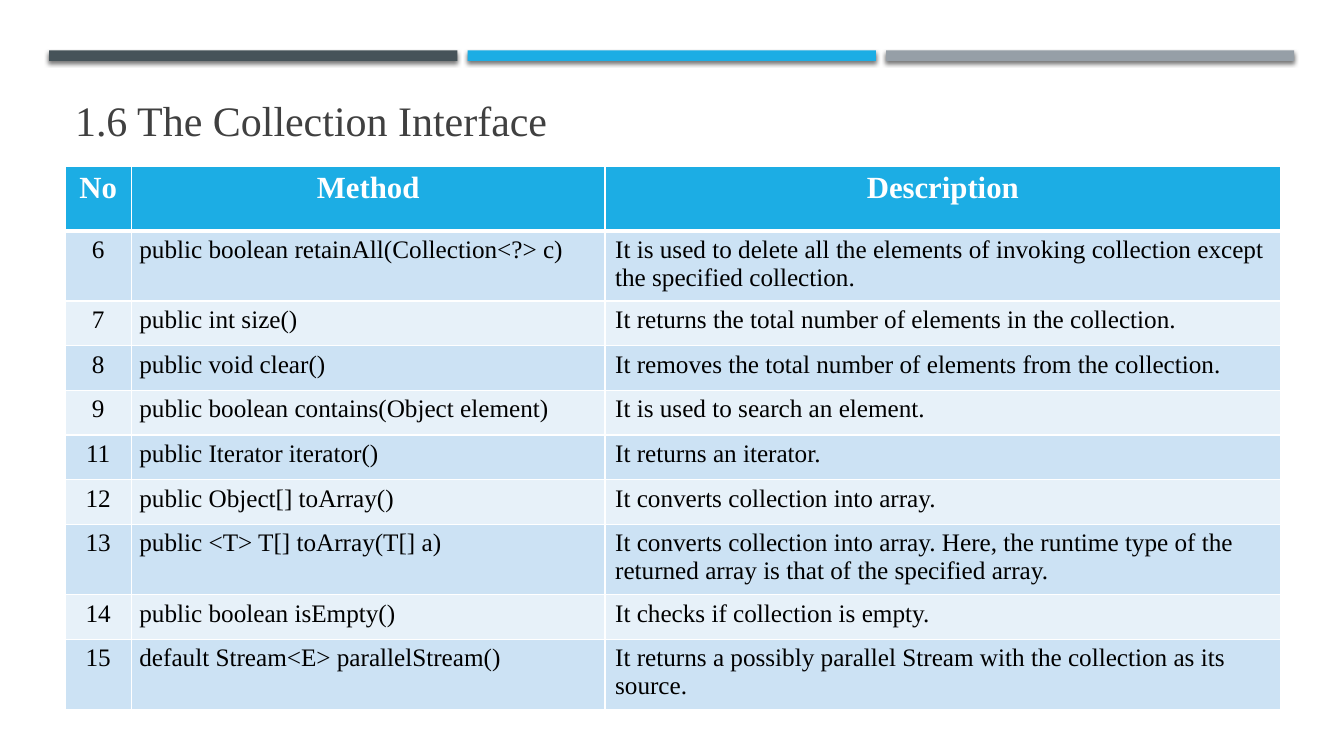
from lxml import etree
from pptx import Presentation
from pptx.dml.color import RGBColor
from pptx.enum.shapes import MSO_SHAPE
from pptx.enum.text import MSO_ANCHOR, MSO_AUTO_SIZE, PP_ALIGN
from pptx.oxml import parse_xml
from pptx.oxml.ns import qn
from pptx.util import Pt

RECTANGLE = MSO_SHAPE.RECTANGLE
BOTTOM = MSO_ANCHOR.BOTTOM
NO_AUTOFIT = MSO_AUTO_SIZE.NONE
LEFT, CENTER, JUSTIFY = PP_ALIGN.LEFT, PP_ALIGN.CENTER, PP_ALIGN.JUSTIFY

FONT = "Times New Roman"
DRAWING = "http://schemas.openxmlformats.org/drawingml/2006/main"
WHITE, BLACK, TITLE_GRAY = "FFFFFF", "000000", "404040"
ACCENT = "1CADE4"
BAR_COLORS = ["465359", ACCENT, "969FA7"]
BAND_COLORS = ["CCE2F4", "E7F1F9"]

CONTENT_LEFT, CONTENT_WIDTH = 46.4, 868.3
COLUMN_WIDTHS = [47.4, 338.4, 482.5]
COLUMN_ALIGNMENTS = [CENTER, JUSTIFY, LEFT]
COLUMN_MARGINS = [7.2, 5.8, 7.2]
HEADER_HEIGHT, SHORT_ROW, TALL_ROW = 46, 31.9, 50.2
THIN_BORDER, HEADER_BORDER = 0.96, 3

HEADER = ["No", "Method", "Description"]
METHODS = [
    (TALL_ROW, "6", "public boolean retainAll(Collection<?> c)",
     "It is used to delete all the elements of invoking collection except the specified collection."),
    (SHORT_ROW, "7", "public int size()",
     "It returns the total number of elements in the collection."),
    (SHORT_ROW, "8", "public void clear()",
     "It removes the total number of elements from the collection."),
    (SHORT_ROW, "9", "public boolean contains(Object element)",
     "It is used to search an element."),
    (SHORT_ROW, "11", "public Iterator iterator()", "It returns an iterator."),
    (SHORT_ROW, "12", "public Object[] toArray()", "It converts collection into array."),
    (TALL_ROW, "13", "public <T> T[] toArray(T[] a)",
     "It converts collection into array. Here, the runtime type of the returned array "
     "is that of the specified array."),
    (SHORT_ROW, "14", "public boolean isEmpty()", "It checks if collection is empty."),
    (TALL_ROW, "15", "default Stream<E> parallelStream()",
     "It returns a possibly parallel Stream with the collection as its source."),
]


def rgb(color):
    """Turn a hex string into a colour."""
    return RGBColor.from_string(color)


def format_text(text_frame, size, color, alignment, bold=False):
    """Set the alignment and font of a one-paragraph text."""
    paragraph = text_frame.paragraphs[0]
    paragraph.alignment = alignment
    for run in paragraph.runs:
        run.font.name = FONT
        run.font.size = Pt(size)
        run.font.bold = bold
        run.font.color.rgb = rgb(color)


def add_shadow(shape):
    """Give a shape a soft shadow below it."""
    shape.shadow.inherit = False
    effects = shape._element.spPr.find(qn("a:effectLst"))
    effects.append(parse_xml(
        f'<a:outerShdw xmlns:a="{DRAWING}" blurRad="{Pt(3)}" dist="{Pt(2)}" dir="5400000" '
        f'rotWithShape="0"><a:srgbClr val="{BLACK}"><a:alpha val="55000"/></a:srgbClr>'
        '</a:outerShdw>'))


def add_bar(slide, index, color):
    """Add one of the coloured bars along the top."""
    bar = slide.shapes.add_shape(
        RECTANGLE, Pt(35.1 + index * 298.9), Pt(36), Pt(291.6), Pt(7.5))
    bar.fill.solid()
    bar.fill.fore_color.rgb = rgb(color)
    bar.line.fill.background()
    add_shadow(bar)


def set_title(slide, text):
    """Place and format the slide title."""
    title = slide.shapes.title
    title.left, title.top = Pt(CONTENT_LEFT), Pt(43.2)
    title.width, title.height = Pt(CONTENT_WIDTH), Pt(64)
    text_frame = title.text_frame
    text_frame.text = text
    text_frame.word_wrap = True
    text_frame.auto_size = NO_AUTOFIT
    text_frame.vertical_anchor = BOTTOM
    format_text(text_frame, 30, TITLE_GRAY, LEFT)


def set_borders(cell, top, bottom):
    """Draw white borders around a cell."""
    properties = cell._tc.get_or_add_tcPr()
    widths = {"lnL": THIN_BORDER, "lnR": THIN_BORDER, "lnT": top, "lnB": bottom}
    for side, width in widths.items():
        line = etree.SubElement(properties, qn(f"a:{side}"), w=str(Pt(width)))
        fill = etree.SubElement(line, qn("a:solidFill"))
        etree.SubElement(fill, qn("a:srgbClr"), val=WHITE)


def fill_cell(cell, text, fill, margin):
    """Write a cell's text and set its fill and margins."""
    cell.text_frame.text = text
    cell.margin_left = cell.margin_right = Pt(margin)
    cell.margin_top = cell.margin_bottom = Pt(3.6)
    cell.fill.solid()
    cell.fill.fore_color.rgb = rgb(fill)


def add_method_table(slide):
    """Add the table of collection methods."""
    heights = [HEADER_HEIGHT] + [method[0] for method in METHODS]
    table = slide.shapes.add_table(
        len(heights), len(HEADER), Pt(CONTENT_LEFT), Pt(118.9),
        Pt(CONTENT_WIDTH), Pt(sum(heights))).table
    for column, width in zip(table.columns, COLUMN_WIDTHS):
        column.width = Pt(width)
    for row, height in zip(table.rows, heights):
        row.height = Pt(height)

    for column, text in enumerate(HEADER):
        cell = table.cell(0, column)
        set_borders(cell, THIN_BORDER, HEADER_BORDER)
        fill_cell(cell, text, ACCENT, 7.2)
        format_text(cell.text_frame, 22, WHITE, CENTER, bold=True)

    for row, (_, *texts) in enumerate(METHODS, start=1):
        top = HEADER_BORDER if row == 1 else THIN_BORDER
        for column, text in enumerate(texts):
            cell = table.cell(row, column)
            set_borders(cell, top, THIN_BORDER)
            fill_cell(cell, text, BAND_COLORS[(row - 1) % 2], COLUMN_MARGINS[column])
            format_text(cell.text_frame, 18, BLACK, COLUMN_ALIGNMENTS[column])


def main():
    """Build the slide and save it."""
    presentation = Presentation()
    presentation.slide_width, presentation.slide_height = Pt(960), Pt(540)
    slide = presentation.slides.add_slide(presentation.slide_layouts[5])
    for index, color in enumerate(BAR_COLORS):
        add_bar(slide, index, color)
    set_title(slide, "1.6 The Collection Interface")
    add_method_table(slide)
    presentation.save("out.pptx")


if __name__ == "__main__":
    main()
